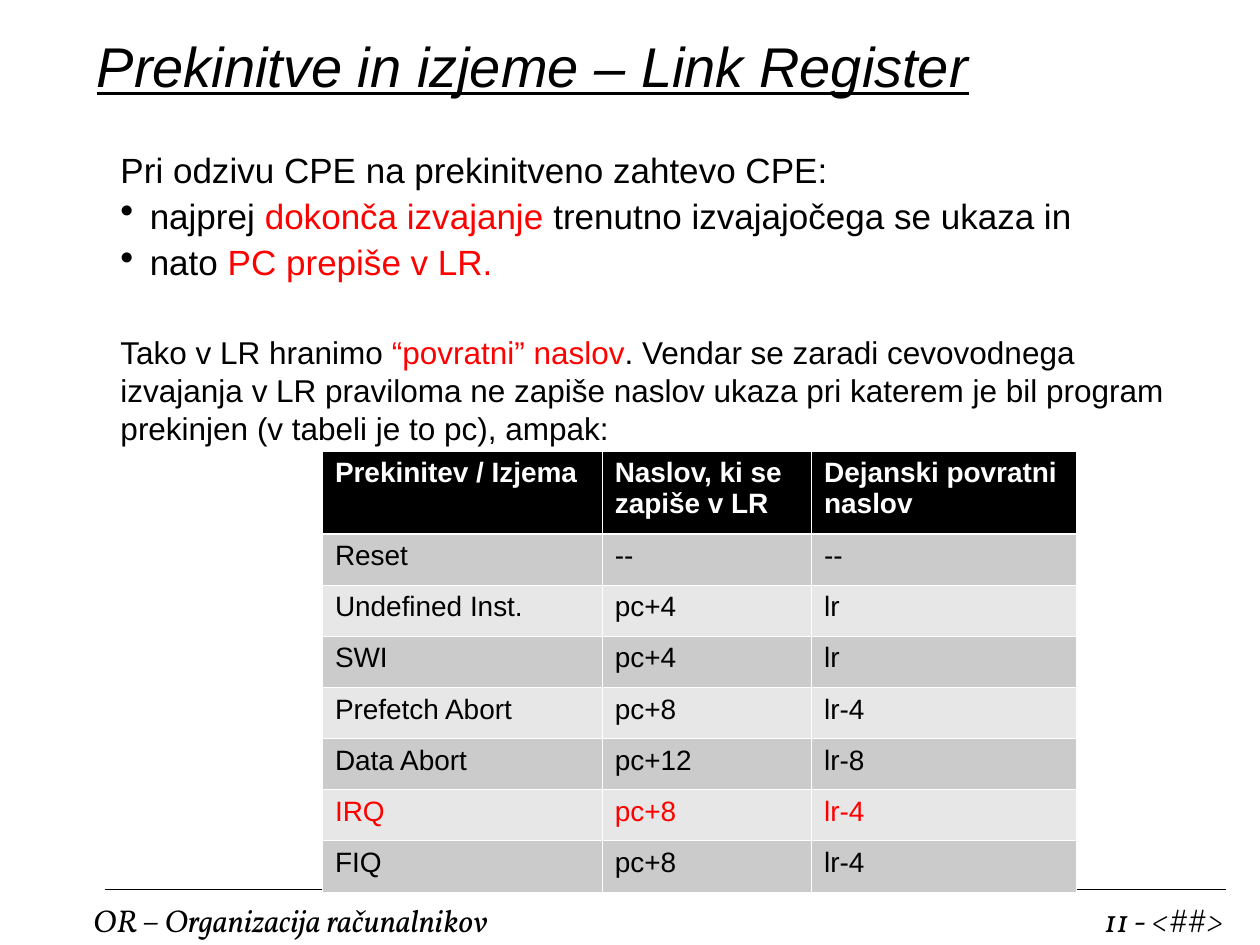
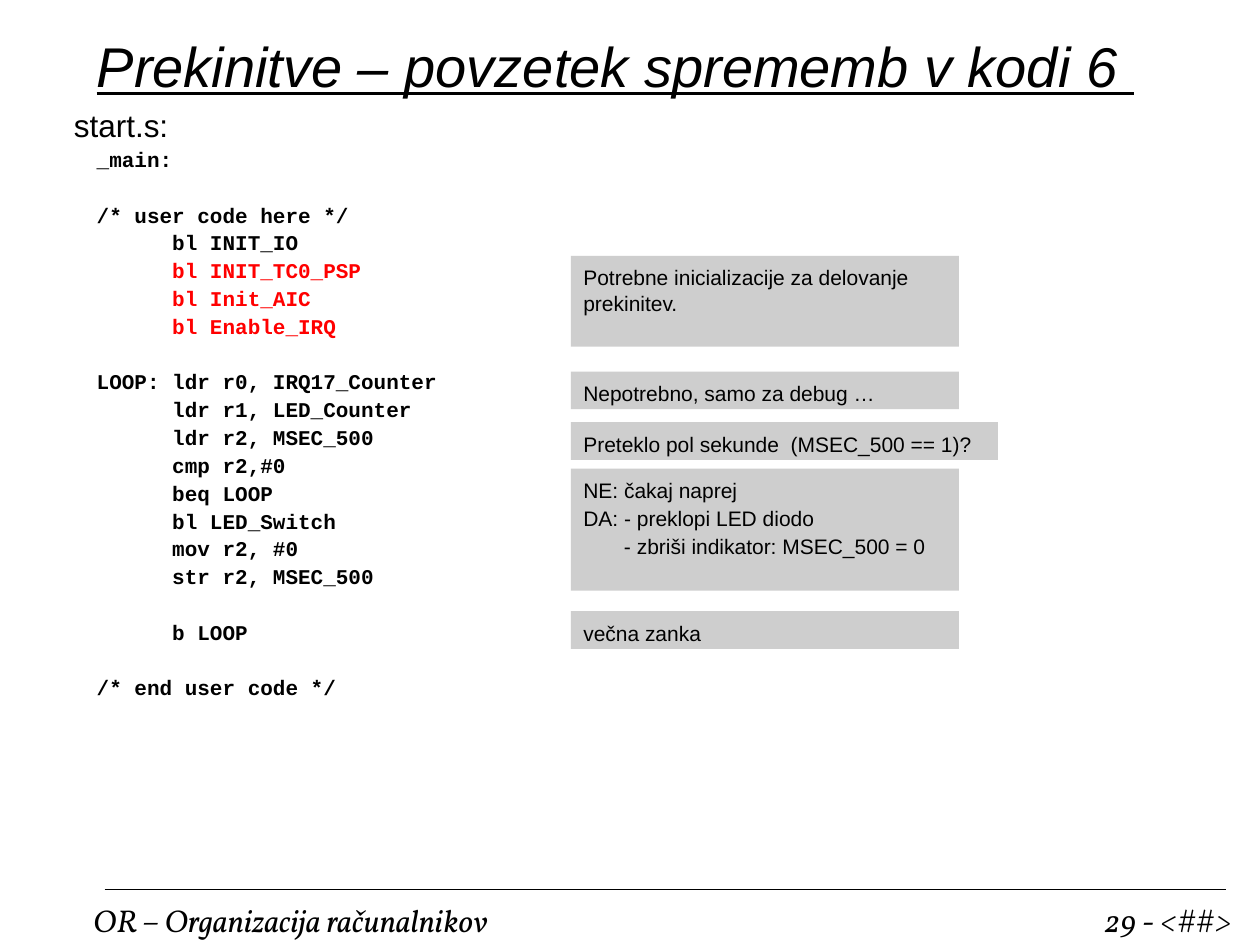
"""Builds two lecture slides on interrupts: link register and code changes."""
from dataclasses import dataclass

from lxml import etree
from pptx import Presentation
from pptx import util as u
from pptx.dml.color import RGBColor
from pptx.enum import shapes, text
from pptx.oxml.ns import qn


@dataclass(frozen=True)
class Theme:
    """Colours, fonts and type sizes shared by the slides."""
    ink: str = "000000"
    paper: str = "FFFFFF"
    alert: str = "FF0000"
    note: str = "CECECE"
    bands: tuple = ("CBCBCB", "E7E7E7")
    sans: str = "Arial"
    mono: str = "Courier New"
    serif: str = "Vollkorn"
    title: int = 32
    lead: int = 20
    body: int = 18
    cell: int = 16
    small: int = 12


T = Theme()
COURSE = "OR – Organizacija računalnikov"

HEAD = ("Prekinitev / Izjema", "Naslov, ki se zapiše v LR", "Dejanski povratni naslov")
ROWS = (
    ("Reset", "--", "--"),
    ("Undefined Inst.", "pc+4", "lr"),
    ("SWI", "pc+4", "lr"),
    ("Prefetch Abort", "pc+8", "lr-4"),
    ("Data Abort", "pc+12", "lr-8"),
    ("IRQ", "pc+8", "lr-4"),
    ("FIQ", "pc+8", "lr-4"),
)
COLS = (5.64, 4.22, 5.33)

INTRO = "Pri odzivu CPE na prekinitveno zahtevo CPE:"
STEPS = (
    "najprej |dokonča izvajanje |trenutno izvajajočega se ukaza in",
    "nato |PC prepiše v LR.|",
)
REST = ("Tako v LR hranimo |“povratni” naslov|. Vendar se zaradi cevovodnega "
        "izvajanja v LR praviloma ne zapiše naslov ukaza pri katerem je bil "
        "program prekinjen (v tabeli je to pc), ampak:")

CODE = """_main:

/* user code here */
      bl INIT_IO
|      bl INIT_TC0_PSP|
|      bl Init_AIC|
|      bl Enable_IRQ|

LOOP: ldr r0, IRQ17_Counter
      ldr r1, LED_Counter
      ldr r2, MSEC_500
      cmp r2,#0
      beq LOOP
      bl LED_Switch
      mov r2, #0
      str r2, MSEC_500

      b LOOP

/* end user code */"""

NOTES = (
    (5.16, 7.82, 1.83, ("Potrebne inicializacije za delovanje prekinitev.",)),
    (7.49, 7.82, 0.76, ("Nepotrebno, samo za debug …",)),
    (8.51, 8.61, 0.76, ("Preteklo pol sekunde  (MSEC_500 == 1)?",)),
    (9.45, 7.82, 2.46, ("NE: čakaj naprej", "DA: - preklopi LED diodo",
                        "- zbriši indikator: MSEC_500 = 0")),
    (12.32, 7.82, 0.76, ("večna zanka",)),
)


def rgb(code):
    """Turn a hex code into a colour."""
    return RGBColor.from_string(code)


def style(para, size, face=T.sans, ink=T.ink, **marks):
    """Set the font of a whole paragraph."""
    font = para.font
    font.size, font.name = u.Pt(size), face
    font.color.rgb = rgb(ink)
    for mark, value in marks.items():
        setattr(font, mark, value)


def fill_runs(para, words):
    """Add runs to a paragraph; parts between bars are in the alert colour."""
    for k, part in enumerate(words.split("|")):
        if part:
            run = para.add_run()
            run.text = part
            if k % 2:
                run.font.color.rgb = rgb(T.alert)


def add_para(frame, words, size, gap=0, **look):
    """Append a styled paragraph, reusing the first one while it is empty."""
    first = frame.paragraphs[0]
    para = frame.add_paragraph() if first.runs else first
    fill_runs(para, words)
    if gap:
        para.space_before = u.Pt(gap)
    style(para, size, **look)
    return para


def set_indent(para, left, hang=0):
    """Set the left indent and first-line offset of a paragraph."""
    props = para._p.get_or_add_pPr()
    props.set("marL", str(u.Cm(left)))
    props.set("indent", str(-u.Cm(hang)))
    return props


def add_dot(para):
    """Give a paragraph a hanging round bullet."""
    props = set_indent(para, 0.59, 0.59)
    font = props.find(qn("a:defRPr"))
    tint = etree.Element(qn("a:buClr"))
    etree.SubElement(tint, qn("a:srgbClr")).set("val", T.ink)
    size = etree.Element(qn("a:buSzPct"))
    size.set("val", "110000")
    dot = etree.Element(qn("a:buChar"))
    dot.set("char", "•")
    for part in (tint, size, dot):
        font.addprevious(part)


def set_frame(shape, lead=0, wrap=True):
    """Set insets and wrapping; lead in points lowers the first line."""
    frame = shape.text_frame
    frame.word_wrap = wrap
    frame.vertical_anchor = text.MSO_ANCHOR.TOP
    frame.margin_left = frame.margin_right = u.Cm(0.25)
    frame.margin_top = u.Cm(0.13) + u.Pt(lead)
    frame.margin_bottom = u.Cm(0.13)
    return frame


def add_box(slide, box, **look):
    """Add a text box and return its frame."""
    return set_frame(slide.shapes.add_textbox(*map(u.Cm, box)), **look)


def add_foot(slide, number):
    """Draw the rule, the course name and the page mark."""
    rule = slide.shapes.add_connector(
        shapes.MSO_CONNECTOR.STRAIGHT, *map(u.Cm, (2.11, 17.93, 24.71, 17.93)))
    rule.line.color.rgb, rule.line.width = rgb(T.ink), u.Pt(1)
    etree.SubElement(rule._element.spPr, qn("a:effectLst"))
    for left, width, wrap, words in ((1.63, 9.96, False, COURSE),
                                     (22.02, 3.38, True, f"{number} - <##>")):
        frame = add_box(slide, (left, 18.03, width, 1.02), wrap=wrap)
        add_para(frame, words, T.body, face=T.serif, italic=True)


def add_page(deck, title, number):
    """Add a slide with its title and footer."""
    slide = deck.slides.add_slide(deck.slide_layouts[5])
    head = slide.shapes.title
    head.left, head.top, head.width, head.height = map(u.Cm, (1.7, 0.53, 22.61, 1.57))
    frame = set_frame(head)
    frame.vertical_anchor = text.MSO_ANCHOR.MIDDLE
    frame.auto_size = text.MSO_AUTO_SIZE.NONE
    para = add_para(frame, title, T.title, italic=True, underline=True)
    para.alignment = text.PP_ALIGN.LEFT
    add_foot(slide, number)
    return slide


def edge_cell(cell, row):
    """Draw the white borders of a cell, thicker below the header."""
    props = cell._tc.get_or_add_tcPr()
    thick = {0: "lnB", 1: "lnT"}.get(row)
    for k, side in enumerate(("lnL", "lnR", "lnT", "lnB")):
        line = etree.Element(qn("a:" + side))
        line.set("w", str(u.Pt(1.47 if side == thick else 0.45)))
        paint = etree.SubElement(line, qn("a:solidFill"))
        etree.SubElement(paint, qn("a:srgbClr")).set("val", T.paper)
        props.insert(k, line)


def add_grid(slide, box):
    """Add the table of return addresses."""
    grid = slide.shapes.add_table(len(ROWS) + 1, len(COLS), *map(u.Cm, box)).table
    for col, width in zip(grid.columns, COLS):
        col.width = u.Cm(width)
    for r, words in enumerate((HEAD,) + ROWS):
        grid.rows[r].height = u.Cm(1.03 if r else 1.68)
        back = T.bands[(r - 1) % 2] if r else T.ink
        ink = T.alert if words[0] == "IRQ" else T.ink if r else T.paper
        for c, word in enumerate(words):
            cell = grid.cell(r, c)
            cell.fill.solid()
            cell.fill.fore_color.rgb = rgb(back)
            add_para(cell.text_frame, word, T.cell, ink=ink, bold=not r)
            edge_cell(cell, r)


def add_intro(slide, box):
    """Add the explanation above the table."""
    frame = add_box(slide, box, lead=2.5)
    add_para(frame, INTRO, T.lead)
    for step in STEPS:
        add_dot(add_para(frame, step, T.lead, gap=2.5))
    add_para(frame, REST, T.body, gap=28.8)


def add_code(slide, box):
    """Add the program listing, with wider gaps for its empty lines."""
    frame = add_box(slide, box, lead=1.5)
    gap = 0
    for line in CODE.splitlines():
        if line:
            add_para(frame, line, T.small, gap=gap, face=T.mono, bold=True)
            gap = 1.5
        else:
            gap = 17.4


def add_note(slide, box, lines):
    """Add a grey comment next to the code; lines with a dash are indented."""
    note = slide.shapes.add_shape(shapes.MSO_SHAPE.RECTANGLE, *map(u.Cm, box))
    note.shadow.inherit = False
    note.fill.solid()
    note.fill.fore_color.rgb = rgb(T.note)
    note.line.fill.background()
    frame = set_frame(note, lead=1.5)
    for k, line in enumerate(lines):
        para = add_para(frame, line, T.small, gap=1.5 if k else 0)
        para.alignment = text.PP_ALIGN.LEFT
        if line.startswith("-"):
            set_indent(para, 0.82)


def link_page(deck):
    """Build the slide on the link register."""
    slide = add_page(deck, "Prekinitve in izjeme – Link Register", 11)
    add_grid(slide, (6.5, 9.09, sum(COLS), 8.89))
    add_intro(slide, (2.18, 2.77, 21.64, 6.3))


def code_page(deck):
    """Build the slide on the code changes."""
    slide = add_page(deck, "Prekinitve – povzetek sprememb v kodi 6 ", 29)
    add_para(add_box(slide, (1.24, 1.93, 23.42, 1.02), lead=2.2), "start.s:", T.body)
    add_code(slide, (1.7, 2.77, 23.7, 11.43))
    for top, width, height, lines in NOTES:
        add_note(slide, (11.51, top, width, height), lines)


def main():
    """Build and save the deck."""
    deck = Presentation()
    deck.slide_width, deck.slide_height = u.Cm(25.4), u.Cm(19.05)
    link_page(deck)
    code_page(deck)
    deck.save("out.pptx")


if __name__ == "__main__":
    main()
